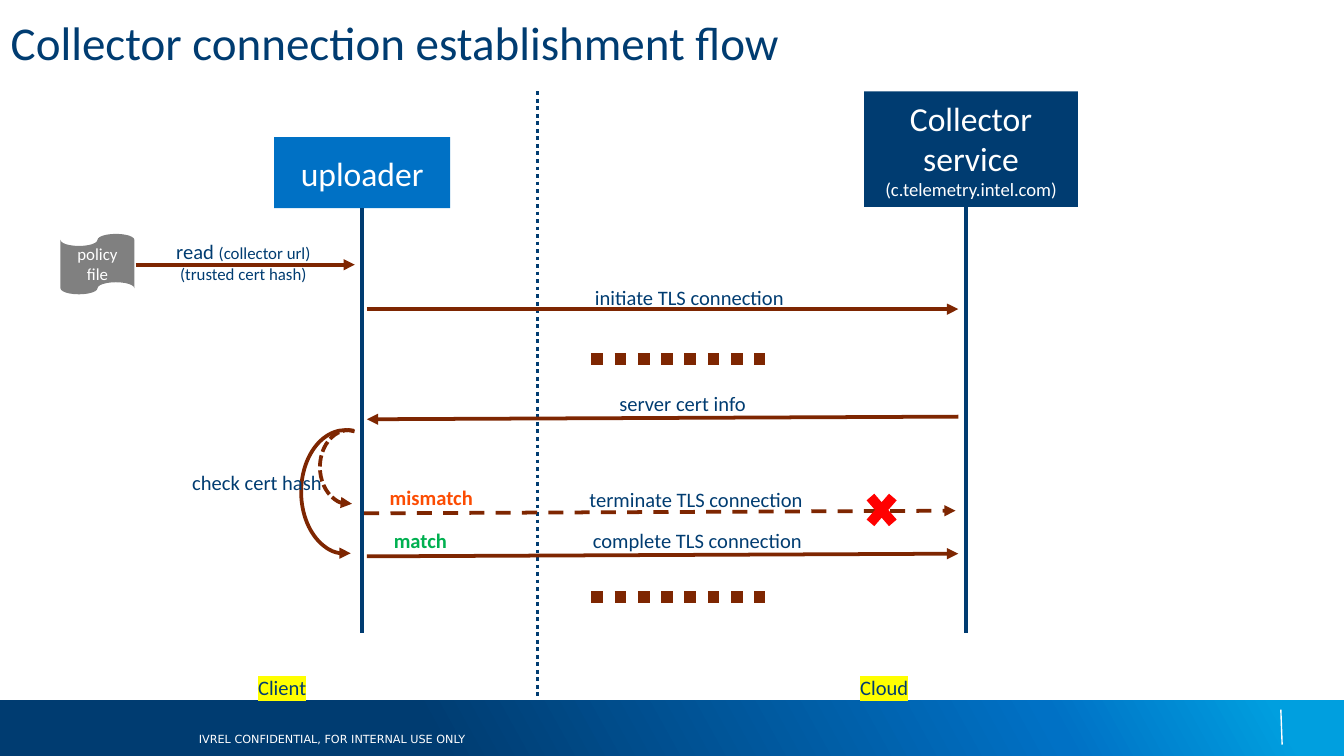
import pptx
import pptx.dml.color
import pptx.enum.dml
import pptx.enum.shapes
import pptx.enum.text
import pptx.oxml
import pptx.oxml.ns
import pptx.util
from lxml import etree
from pptx.util import Inches

COLORS = {
    "navy": "003C71", "blue": "0071C5", "sky": "009FDF", "white": "FFFFFF",
    "gray": "808080", "brown": "7E2601", "orange": "FC4C02",
    "green": "00B050", "red": "FF0000", "yellow": "FFFF00",
}
SHAPES = pptx.enum.shapes.MSO_SHAPE
DASHES = pptx.enum.dml.MSO_LINE
ALIGN = pptx.enum.text.PP_ALIGN
ANCHOR = pptx.enum.text.MSO_ANCHOR
qn = pptx.oxml.ns.qn


def rgb(name):
    return pptx.dml.color.RGBColor.from_string(COLORS[name])


def style_line(line, color, width, dash=None, head=None):
    line.color.rgb = rgb(color)
    line.width = pptx.util.Pt(width)
    if dash:
        line.dash_style = dash
    if head:
        # head is "headEnd" (start of the line) or "tailEnd" (its end)
        etree.SubElement(line._get_or_add_ln(), qn("a:" + head), type="triangle")


def add_line(slide, start, end, color="brown", width=2, dash=None, head=None):
    line = slide.shapes.add_connector(
        pptx.enum.shapes.MSO_CONNECTOR.STRAIGHT,
        *(Inches(value) for value in (*start, *end)))
    style_line(line.line, color, width, dash, head)
    etree.SubElement(line._element.spPr, qn("a:effectLst"))
    return line


def write(frame, lines, color, align=ALIGN.CENTER, bold=None, font="Calibri"):
    """Write one paragraph for each (text, size) pair."""
    for index, (text, size) in enumerate(lines):
        paragraph = frame.paragraphs[0] if index == 0 else frame.add_paragraph()
        paragraph.add_run().text = text
        paragraph.alignment = align
        paragraph.font.name = font
        paragraph.font.size = pptx.util.Pt(size)
        paragraph.font.bold = bold
        paragraph.font.color.rgb = rgb(color)


def clear_margins(frame):
    frame.margin_left = frame.margin_right = 0
    frame.margin_top = frame.margin_bottom = 0


def add_label(slide, box, lines, color="navy", wrap=True, **options):
    label = slide.shapes.add_textbox(*(Inches(value) for value in box))
    clear_margins(label.text_frame)
    label.text_frame.word_wrap = wrap
    write(label.text_frame, lines, color, **options)
    return label


def add_shape(slide, kind, box, fill, lines=()):
    shape = slide.shapes.add_shape(kind, *(Inches(value) for value in box))
    shape.shadow.inherit = False
    shape.line.fill.background()
    if fill:
        shape.fill.solid()
        shape.fill.fore_color.rgb = rgb(fill)
    else:
        shape.fill.background()
    if lines:
        shape.text_frame.vertical_anchor = ANCHOR.MIDDLE
        write(shape.text_frame, lines, "white")
    return shape


def place_title(slide, box, text):
    title = slide.shapes.title
    title.left, title.top, title.width, title.height = map(Inches, box)
    clear_margins(title.text_frame)
    title.text_frame.vertical_anchor = ANCHOR.TOP
    write(title.text_frame, [(text, 25.2)], "navy", ALIGN.LEFT)


def draw_footer(slide, box):
    left, top, width, height = box
    band = add_shape(slide, SHAPES.RECTANGLE, box, None)
    band.fill.gradient()
    band.fill.gradient_angle = 29
    stops = band._element.spPr.find(qn("a:gradFill")).find(qn("a:gsLst"))
    for stop in list(stops):
        stops.remove(stop)
    for percent, color in ((32, "navy"), (78, "blue"), (95, "sky")):
        stop = etree.SubElement(stops, qn("a:gs"), pos=str(percent * 1000))
        etree.SubElement(stop, qn("a:srgbClr"), val=COLORS[color])
    add_line(slide, (left + 9.53, top + 0.07), (left + 9.54, top + 0.33), "white", 0.75)
    add_label(slide, (left + 1.48, top + 0.24, 2.25, 0.1),
              [("IVREL CONFIDENTIAL, FOR INTERNAL USE ONLY", 6)], "white",
              align=ALIGN.LEFT, font="DejaVu Sans")


def draw_participants(slide, box):
    left, top, width, height = box
    bottom = top + height
    uploader = add_shape(slide, SHAPES.RECTANGLE, (left, top + 0.34, 1.31, 0.53),
                         "blue", [("uploader", 18)])
    add_shape(slide, SHAPES.RECTANGLE, (left + width - 1.59, top, 1.59, 0.86), "navy",
              [("Collector", 18), ("service", 18), ("(c.telemetry.intel.com)", 10)])
    # Lifelines
    lifeline = add_line(slide, (left + 0.65, top + 0.87), (left + 0.65, bottom), "navy")
    lifeline.begin_connect(uploader, 2)
    lifeline.end_x = lifeline.begin_x
    add_line(slide, (left + 5.15, top + 0.86), (left + 5.15, bottom), "navy")


def draw_policy_read(slide, box):
    left, top, width, height = box
    add_shape(slide, SHAPES.FLOWCHART_PUNCHED_TAPE, (left, top, 0.55, height),
              "gray", [("policy", 9), ("file", 9)])
    add_line(slide, (left + 0.56, top + 0.23), (left + width, top + 0.23), head="tailEnd")
    label = add_label(slide, (left + 0.79, top + 0.04, 1.14, 0.34),
                      [("read ", 11), ("(trusted cert hash)", 9)], wrap=False)
    detail = label.text_frame.paragraphs[0].add_run()
    detail.text = "(collector url)"
    detail.font.size = pptx.util.Pt(9)


def draw_messages(slide, box):
    left, top, width, height = box
    right = left + width
    # text, label centre, label top, start, end, dash
    messages = [
        ("initiate TLS connection", 2.4, 0, (left, 0.18), (right, 0.18), None),
        ("server cert info", 2.35, 0.79, (right, 0.98), (left, 1), None),
        ("terminate TLS connection", 2.45, 1.5, (left - 0.02, 1.7), (right - 0.02, 1.68),
         DASHES.DASH),
        ("complete TLS connection", 2.46, 1.81, (left, 2.02), (right, 2), None),
    ]
    for text, center, label_top, start, end, dash in messages:
        add_line(slide, (start[0], top + start[1]), (end[0], top + end[1]),
                 dash=dash, head="tailEnd")
        add_label(slide, (left + center - 0.95, top + label_top, 1.9, 0.19), [(text, 11)])
    # Further exchanges
    for offset in (0.55, 2.32):
        add_line(slide, (left + 1.67, top + offset), (left + 2.96, top + offset),
                 width=6.25, dash=DASHES.ROUND_DOT)
    # Outcomes of the check
    for text, x, y, label_width, color in (("mismatch", 0.17, 1.49, 0.7, "orange"),
                                           ("match", 0.2, 1.81, 0.45, "green")):
        add_label(slide, (left + x, top + y, label_width, 0.19), [(text, 11)], color,
                  wrap=False, align=ALIGN.LEFT, bold=True)
    add_shape(slide, SHAPES.MATH_MULTIPLY, (left + 3.67, top + 1.49, 0.32, 0.37), "red")


def draw_cert_check(slide, box):
    left, top, width, height = box
    for x, arc_width, arc_height, dash in ((0.95, 0.43, 0.55, DASHES.SQUARE_DOT),
                                           (0.81, 0.66, height, None)):
        arc = add_shape(slide, SHAPES.ARC, (left + x, top, arc_width, arc_height), None)
        arc.rotation = 180
        arc.adjustments[0], arc.adjustments[1] = 159.07, 59.15
        style_line(arc.line, "brown", 2, dash, "headEnd")
    add_label(slide, (left, top + 0.3, 1.08, 0.19), [("check cert hash", 11)],
              wrap=False, align=ALIGN.LEFT)


def draw_zones(slide, box):
    left, top, width, height = box
    divider = left + 2.08
    add_line(slide, (divider, top), (divider, top + height), "navy", dash=DASHES.ROUND_DOT)
    for text, x in (("Client", left), ("Cloud", left + width - 0.41)):
        label = add_label(slide, (x, top + 4.34, 0.41, 0.19), [(text, 11)],
                          wrap=False, align=ALIGN.LEFT)
        properties = label.text_frame.paragraphs[0].runs[0]._r.get_or_add_rPr()
        highlight = etree.SubElement(properties, qn("a:highlight"))
        etree.SubElement(highlight, qn("a:srgbClr"), val=COLORS["yellow"])


def main():
    presentation = pptx.Presentation()
    presentation.slide_width = Inches(10)
    presentation.slide_height = presentation.slide_width * 9 // 16
    slide = presentation.slides.add_slide(presentation.slide_layouts[5])
    draw_footer(slide, (0, 5.21, 10, 0.42))
    place_title(slide, (0.08, 0.1, 6.67, 0.53), "Collector connection establishment flow")
    draw_participants(slide, (2.04, 0.68, 5.98, 4.03))
    draw_policy_read(slide, (0.45, 1.74, 2.19, 0.45))
    draw_zones(slide, (1.92, 0.68, 4.89, 4.52))
    draw_messages(slide, (2.73, 2.12, 4.4, 2.4))
    draw_cert_check(slide, (1.43, 3.2, 1.47, 0.92))
    presentation.save("out.pptx")


if __name__ == "__main__":
    main()
